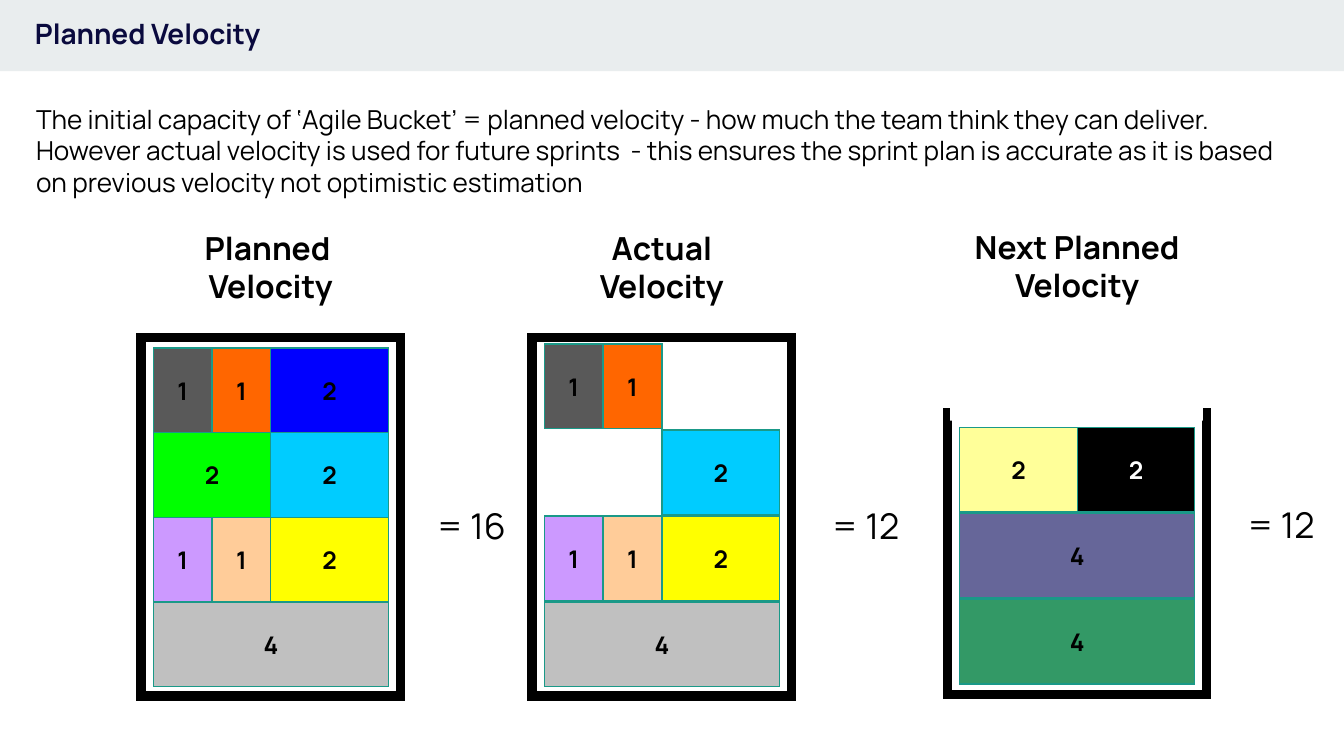
from lxml import etree
from pptx import Presentation
from pptx.dml.color import RGBColor
from pptx.enum.shapes import MSO_SHAPE as Shape
from pptx.enum.text import MSO_ANCHOR as Anchor, PP_ALIGN as Align
from pptx.oxml.ns import qn
from pptx.util import Inches, Pt

FONT = "Manrope"
BLACK, WHITE, TEAL = "000000", "FFFFFF", "1A9988"
POINT_WIDTH = 0.4375  # width of one story point
BLOCK_HEIGHT = 0.63
BUCKET_WIDTH = 1.93
BUCKET_PADDING = 0.09

INTRO = (
    "The initial capacity of ‘Agile Bucket’ = planned velocity - how much the "
    "team think they can deliver. However actual velocity is used for future "
    "sprints  - this ensures the sprint plan is accurate as it is based on "
    "previous velocity not optimistic estimation"
)

# Rows run from top to bottom; each story is (points, colour), None is a gap.
SMALL_STORIES = [(1, "595959"), (1, "FF6600")]
MIXED_ROW = [(1, "CC99FF"), (1, "FFCC99"), (2, "FFFF00")]
BASE_ROW = [(4, "C0C0C0")]
PLANNED = [
    SMALL_STORIES + [(2, "0000FF")],
    [(2, "00FF00"), (2, "00CCFF")],
    MIXED_ROW,
    BASE_ROW,
]
ACTUAL = [SMALL_STORIES, [(2, None), (2, "00CCFF")], MIXED_ROW, BASE_ROW]
NEXT_PLANNED = [
    [(2, "FFFF99"), (2, BLACK)],
    [(4, "666699")],
    [(4, "339966")],
]


def rgb(value):
    return RGBColor.from_string(value)


def write(frame, text, size, color=BLACK, bold=False, align=Align.LEFT,
          anchor=Anchor.TOP, inset=0.05):
    frame.text = text
    frame.word_wrap = True
    frame.vertical_anchor = anchor
    frame.margin_left = frame.margin_right = Inches(0.1)
    frame.margin_top = frame.margin_bottom = Inches(inset)
    for paragraph in frame.paragraphs:
        paragraph.alignment = align
        for run in paragraph.runs:
            run.font.name = FONT
            run.font.size = Pt(size)
            run.font.bold = bold
            run.font.color.rgb = rgb(color)


def add_text(slide, left, top, width, height, text, size, **style):
    box = slide.shapes.add_textbox(
        Inches(left), Inches(top), Inches(width), Inches(height))
    write(box.text_frame, text, size, **style)


def add_box(slide, left, top, width, height, fill=None, line=None, weight=0.75):
    box = slide.shapes.add_shape(
        Shape.RECTANGLE, Inches(left), Inches(top), Inches(width), Inches(height))
    box.shadow.inherit = False
    if fill:
        box.fill.solid()
        box.fill.fore_color.rgb = rgb(fill)
    else:
        box.fill.background()
    if line:
        box.line.color.rgb = rgb(line)
        box.line.width = Pt(weight)
        # Square corners
        outline = box._element.spPr.find(qn("a:ln"))
        etree.SubElement(outline, qn("a:miter"), lim="800000")
    else:
        box.line.fill.background()
    return box


def add_header(slide):
    bar = add_box(slide, 0, 0, 10, 0.53, "E9EDEE")
    slide.shapes._spTree.insert(2, bar._element)  # behind the title
    title = slide.shapes.title
    title.left, title.top = Inches(0.16), Inches(-0.03)
    title.width, title.height = Inches(8.41), Inches(0.59)
    write(title.text_frame, "Planned Velocity", 15, color="0A0A3E", bold=True,
          anchor=Anchor.MIDDLE, inset=0.1)
    title.text_frame.paragraphs[0].line_spacing = 0.9


def add_stories(slide, rows, left, base_top, pitch):
    """Stack the rows upwards from base_top, the top of the lowest row."""
    for level, row in enumerate(reversed(rows)):
        x = left
        for points, color in row:
            width = points * POINT_WIDTH
            if color:
                story = add_box(slide, x, base_top - level * pitch, width,
                                BLOCK_HEIGHT, color, TEAL)
                write(story.text_frame, str(points), 13, bold=True,
                      color=WHITE if color == BLACK else BLACK,
                      align=Align.CENTER, anchor=Anchor.MIDDLE)
            x += width


def add_bucket(slide, heading, rows, left, top, height, base_top, pitch=0.64,
               heading_top=1.65, total_gap=0.2, open_top=False):
    """Draw a bucket with its heading, its stories and the sum of their points."""
    heading_width = 2.16
    add_text(slide, left + (BUCKET_WIDTH - heading_width) / 2, heading_top,
             heading_width, 0.67, heading, 17, bold=True, align=Align.CENTER,
             anchor=Anchor.MIDDLE)
    add_box(slide, left, top, BUCKET_WIDTH, height, line=BLACK, weight=5)
    if open_top:
        add_box(slide, left + 0.02, top - 0.06, BUCKET_WIDTH - 0.05, 0.12, WHITE)
    add_stories(slide, rows, left + BUCKET_PADDING, base_top, pitch)
    total = sum(points for row in rows for points, color in row if color)
    add_text(slide, left + BUCKET_WIDTH + total_gap, heading_top + 2.05, 0.72,
             0.42, f"= {total}", 19)


def main():
    deck = Presentation()
    deck.slide_width = Inches(10)
    deck.slide_height = deck.slide_width * 9 // 16
    slide = deck.slides.add_slide(deck.slide_layouts[5])
    add_header(slide)
    add_text(slide, 0.17, 0.67, 9.67, 0.57, INTRO, 14, inset=0.1)
    add_bucket(slide, "Planned \nVelocity", PLANNED, 1.05, 2.51, 2.67, 4.48,
               pitch=0.63, total_gap=0.17)
    add_bucket(slide, "Actual\nVelocity", ACTUAL, 3.96, 2.51, 2.67, 4.48)
    add_bucket(slide, "Next Planned\nVelocity", NEXT_PLANNED, 7.05, 3.07, 2.1,
               4.46, heading_top=1.64, open_top=True)
    deck.save("out.pptx")


if __name__ == "__main__":
    main()
